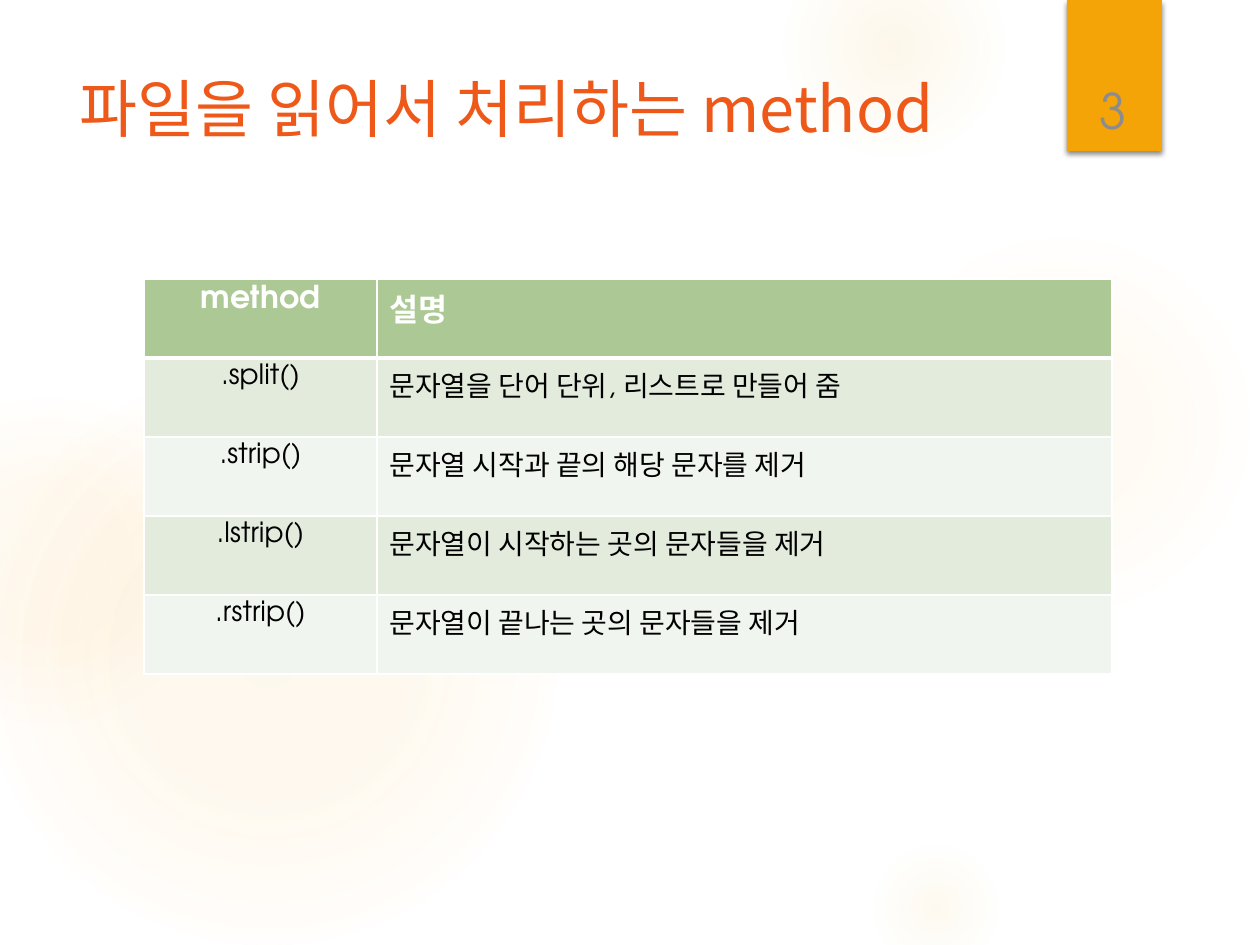
from dataclasses import dataclass

from lxml import etree
from pptx import Presentation
from pptx.dml.color import RGBColor
from pptx.enum.shapes import MSO_SHAPE
from pptx.enum.text import MSO_ANCHOR, PP_ALIGN
from pptx.oxml import parse_xml
from pptx.oxml.ns import nsdecls, qn
from pptx.util import Emu, Pt

ELLIPSE, RECTANGLE = MSO_SHAPE.OVAL, MSO_SHAPE.RECTANGLE
TOP, BOTTOM = MSO_ANCHOR.TOP, MSO_ANCHOR.BOTTOM
LEFT, CENTER = PP_ALIGN.LEFT, PP_ALIGN.CENTER
TITLE_ONLY = 5
PX_PER_INCH = 126


@dataclass(frozen=True)
class Theme:
    korean: str = "Noto Sans CJK KR"
    latin: str = "TeX Gyre Adventor"
    title: str = "EE5818"
    glow: str = "FAC96A"
    ribbon: str = "F5A408"
    number: str = "8C8C8C"
    header: str = "ACC995"
    bands: tuple = ("E3EBDD", "F1F5EF")
    white: str = "FFFFFF"
    black: str = "000000"
    title_size: int = 36
    number_size: int = 28
    header_size: int = 18
    cell_size: int = 16


THEME = Theme()

GLOWS = [
    (868, 231, 388, ((0, 7), (36, 6), (69, 0))),
    (784, -63, 220, ((0, 14), (36, 7), (73, 0))),
    (868, 840, 136, ((0, 10), (31, 5), (66, 0))),
    (-21, 368, 577, ((0, 11), (36, 10), (75, 0))),
    (-116, 399, 325, ((0, 8), (36, 8), (72, 0))),
]

METHODS = [
    ("method", "설명"),
    (".split()", "문자열을 단어 단위, 리스트로 만들어 줌"),
    (".strip()", "문자열 시작과 끝의 해당 문자를 제거"),
    (".lstrip()", "문자열이 시작하는 곳의 문자들을 제거"),
    (".rstrip()", "문자열이 끝나는 곳의 문자들을 제거"),
]


def px(*lengths):
    return [Emu(round(length * 914400 / PX_PER_INCH)) for length in lengths]


def rgb(color):
    return RGBColor.from_string(color)


def write(frame, text, size, color, font, align=LEFT, bold=False):
    frame.text = text
    para = frame.paragraphs[0]
    para.alignment = align
    for span in para.runs:
        span.font.size = Pt(size)
        span.font.bold = bold
        span.font.color.rgb = rgb(color)
        span.font.name = font
        east_asian = etree.SubElement(span.font._element, qn("a:ea"))
        east_asian.set("typeface", THEME.korean)


def add_plain_shape(page, kind, left, top, width, height):
    shape = page.shapes.add_shape(kind, *px(left, top, width, height))
    shape.shadow.inherit = False
    shape.line.fill.background()
    return shape


def add_glow(page, left, top, size, stops):
    glow = add_plain_shape(page, ELLIPSE, left, top, size, size)
    stop_xml = "".join(
        f'<a:gs pos="{place * 1000}"><a:srgbClr val="{THEME.glow}">'
        f'<a:alpha val="{alpha * 1000}"/></a:srgbClr></a:gs>'
        for place, alpha in stops
    )
    gradient = parse_xml(
        f'<a:gradFill {nsdecls("a")}><a:gsLst>{stop_xml}</a:gsLst>'
        '<a:path path="circle"><a:fillToRect l="50000" t="50000" r="50000" b="50000"/>'
        "</a:path></a:gradFill>"
    )
    glow.element.spPr.find(qn("a:prstGeom")).addnext(gradient)


def add_ribbon(page):
    ribbon = add_plain_shape(page, RECTANGLE, 1067, 0, 95, 151)
    ribbon.fill.solid()
    ribbon.fill.fore_color.rgb = rgb(THEME.ribbon)
    shadow = parse_xml(
        f'<a:outerShdw {nsdecls("a")} blurRad="{Pt(3)}" dist="{Pt(2)}" dir="5400000" '
        f'rotWithShape="0"><a:srgbClr val="{THEME.black}"><a:alpha val="45000"/>'
        "</a:srgbClr></a:outerShdw>"
    )
    ribbon.element.spPr.find(qn("a:effectLst")).append(shadow)


def place_title(page, text):
    title = page.shapes.title
    title.left, title.top, title.width, title.height = px(67, 63, 973, 193)
    title.text_frame.vertical_anchor = TOP
    write(title.text_frame, text, THEME.title_size, THEME.title, THEME.korean)
    page.shapes.element.append(title.element)


def add_borders(cell, bottom):
    properties = cell._tc.get_or_add_tcPr()
    for side, width in (("L", 1), ("R", 1), ("T", 1), ("B", bottom)):
        properties.append(parse_xml(
            f'<a:ln{side} {nsdecls("a")} w="{Pt(width)}"><a:solidFill>'
            f'<a:srgbClr val="{THEME.white}"/></a:solidFill></a:ln{side}>'
        ))


def fill_cell(cell, text, row, column):
    heading = row == 0
    add_borders(cell, 3 if heading else 1)
    cell.fill.solid()
    cell.fill.fore_color.rgb = rgb(THEME.header if heading else THEME.bands[(row - 1) % 2])
    write(
        cell.text_frame,
        text,
        THEME.header_size if heading else THEME.cell_size,
        THEME.white if heading else THEME.black,
        THEME.latin,
        CENTER if column == 0 else LEFT,
        heading,
    )


def add_method_table(page):
    widths, row_height = (233, 735), 79
    frame = page.shapes.add_table(
        len(METHODS), len(widths),
        *px(144, 279, sum(widths), row_height * len(METHODS)),
    )
    table = frame.table
    for column, width in zip(table.columns, px(*widths)):
        column.width = width
    for row, texts in enumerate(METHODS):
        for column, text in enumerate(texts):
            fill_cell(table.cell(row, column), text, row, column)


def add_page_number(page, number):
    box = page.shapes.add_textbox(*px(1070, 40, 87, 106))
    box.text_frame.word_wrap = True
    box.text_frame.vertical_anchor = BOTTOM
    write(box.text_frame, number, THEME.number_size, THEME.number, THEME.latin, CENTER)


def main():
    deck = Presentation()
    deck.slide_width, deck.slide_height = px(1260, 945)
    page = deck.slides.add_slide(deck.slide_layouts[TITLE_ONLY])
    page.background.fill.solid()
    page.background.fill.fore_color.rgb = rgb(THEME.white)
    for glow in GLOWS:
        add_glow(page, *glow)
    add_ribbon(page)
    place_title(page, "파일을 읽어서 처리하는 method")
    add_method_table(page)
    add_page_number(page, "3")
    deck.save("out.pptx")


if __name__ == "__main__":
    main()
